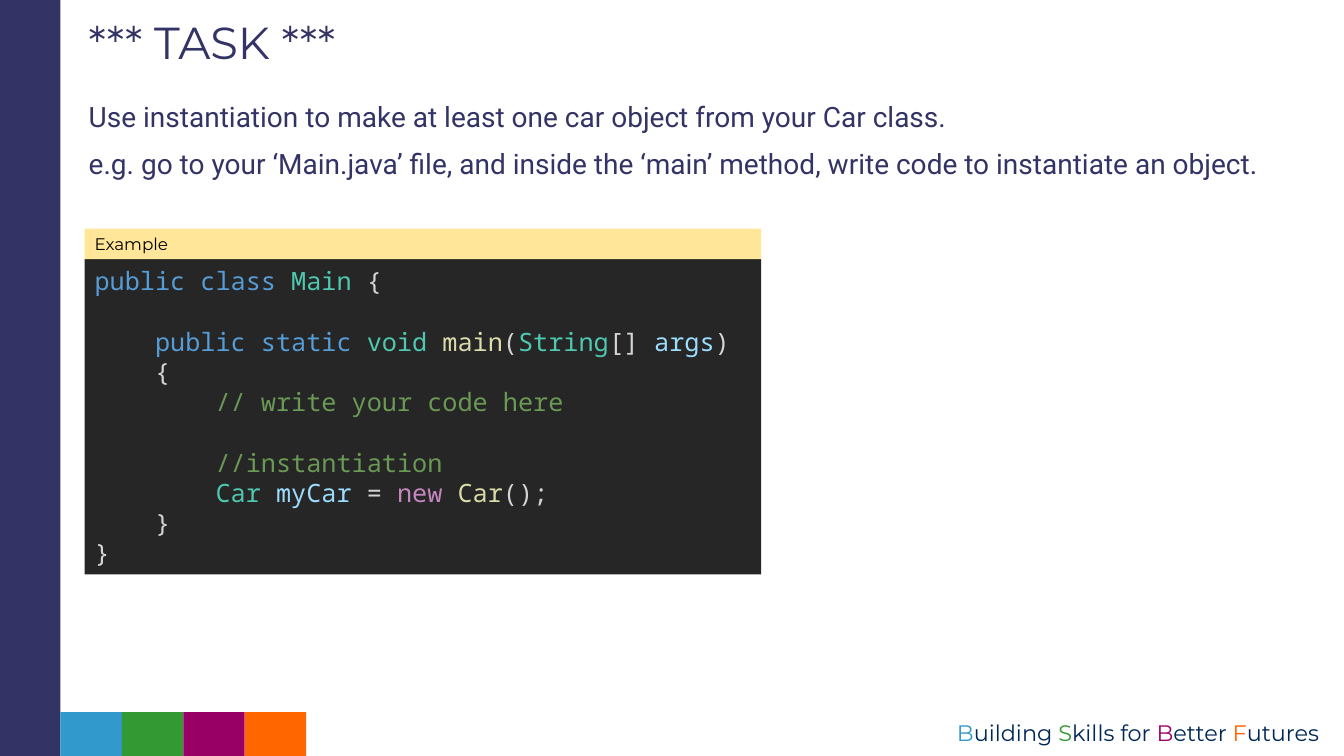
from lxml.etree import SubElement
from pptx import Presentation
from pptx.dml.color import RGBColor
from pptx.enum.shapes import MSO_SHAPE as Preset
from pptx.enum.text import MSO_ANCHOR as Anchor, MSO_AUTO_SIZE as AutoSize, PP_ALIGN as Align
from pptx.oxml.ns import qn
from pptx.util import Inches, Pt

NAVY, INK = "333366", "002856"
BRAND = ["3299CC", "339933", "990066", "FF6600"]
KEYWORD, TYPE, PLAIN, METHOD = "569CD6", "4EC9B0", "D4D4D4", "DCDCAA"
VARIABLE, REMARK, OPERATOR = "9CDCFE", "6A9955", "C586C0"
CODE_PITCH = 21.6
CODE_INDENT = 0.6


def color(value):
    return RGBColor.from_string(value)


class TaskSlide:
    heading_font = "Montserrat"
    body_font = "Roboto"
    code_font = "Noto Sans Mono"

    def __init__(self, presentation):
        self.width = presentation.slide_width
        self.height = presentation.slide_height
        self.slide = presentation.slides.add_slide(presentation.slide_layouts[1])

    def area(self, left, top, width, height):
        return (round(self.width * left / 100), round(self.height * top / 100),
                round(self.width * width / 100), round(self.height * height / 100))

    def place(self, shape, *shares):
        shape.left, shape.top, shape.width, shape.height = self.area(*shares)

    def style(self, run, font, size, value):
        run.font.name = font
        run.font.size = Pt(size)
        run.font.color.rgb = color(value)

    def frame(self, shape, anchor):
        text_frame = shape.text_frame
        text_frame.word_wrap = True
        text_frame.auto_size = AutoSize.NONE
        text_frame.vertical_anchor = anchor
        return text_frame

    def add_pieces(self, paragraph, pieces, font, size):
        for text, value in pieces:
            run = paragraph.add_run()
            run.text = text
            self.style(run, font, size, value)

    def title(self, text, *shares):
        shape = self.slide.shapes.title
        self.place(shape, *shares)
        text_frame = self.frame(shape, Anchor.MIDDLE)
        text_frame.text = text
        paragraph = text_frame.paragraphs[0]
        paragraph.alignment = Align.LEFT
        paragraph.line_spacing = 0.9
        self.style(paragraph.runs[0], self.heading_font, 32, NAVY)

    def body(self, lines, *shares):
        shape = self.slide.placeholders[1]
        self.place(shape, *shares)
        text_frame = self.frame(shape, Anchor.TOP)
        text_frame.text = "\n".join(lines)
        for paragraph in text_frame.paragraphs:
            paragraph.line_spacing = 1.14
            paragraph.space_before = Pt(0)
            paragraph.space_after = Pt(6)
            properties = paragraph._p.get_or_add_pPr()
            properties.set("marL", "0")
            properties.set("indent", "0")
            SubElement(properties, qn("a:buNone"))
            self.style(paragraph.runs[0], self.body_font, 20, NAVY)

    def block(self, fill, *shares):
        shape = self.slide.shapes.add_shape(Preset.RECTANGLE, *self.area(*shares))
        shape.shadow.inherit = False
        shape.fill.solid()
        shape.fill.fore_color.rgb = color(fill)
        shape.line.fill.background()
        return shape

    def label(self, text, fill, *shares):
        text_frame = self.frame(self.block(fill, *shares), Anchor.MIDDLE)
        text_frame.text = text
        paragraph = text_frame.paragraphs[0]
        paragraph.alignment = Align.LEFT
        self.style(paragraph.runs[0], self.heading_font, 12, "000000")

    def listing(self, lines, fill, *shares):
        text_frame = self.frame(self.block(fill, *shares), Anchor.MIDDLE)
        for index, (level, lines_above, pieces) in enumerate(lines):
            paragraph = text_frame.add_paragraph() if index else text_frame.paragraphs[0]
            paragraph.alignment = Align.LEFT
            paragraph.line_spacing = Pt(CODE_PITCH)
            paragraph.space_before = Pt(CODE_PITCH * lines_above)
            paragraph._p.get_or_add_pPr().set("marL", str(Inches(CODE_INDENT * level)))
            self.add_pieces(paragraph, pieces, self.code_font, 18)

    def slogan(self, pieces, *shares):
        shape = self.slide.shapes.add_textbox(*self.area(*shares))
        paragraph = self.frame(shape, Anchor.TOP).paragraphs[0]
        paragraph.alignment = Align.RIGHT
        self.add_pieces(paragraph, pieces, self.heading_font, 16)


def main():
    presentation = Presentation()
    presentation.slide_width = Inches(13.33)
    presentation.slide_height = Inches(7.5)
    task = TaskSlide(presentation)

    side = 4.5
    swatch = 4.57
    task.block(NAVY, 0, 0, side, 100)
    for index, fill in enumerate(BRAND):
        task.block(fill, side + index * swatch, 94.2, swatch, 5.8)

    words = ["Building ", "Skills for ", "Better ", "Futures"]
    task.slogan([piece for word, value in zip(words, BRAND)
                 for piece in ((word[0], value), (word[1:], INK))],
                62.72, 94.53, 36.16, 4.93)

    task.title("*** TASK ***", 5.85, 1.73, 77.64, 8.4)
    task.body([
        "Use instantiation to make at least one car object from your Car class.",
        "e.g. go to your ‘Main.java’ file, and inside the ‘main’ method, "
        "write code to instantiate an object.",
    ], 5.85, 11.87, 92.95, 79.33)

    code_left, code_width = 6.3, 50.34
    task.listing([
        (0, 0, [("public class ", KEYWORD), ("Main", TYPE), (" {", PLAIN)]),
        (1, 1, [("public static ", KEYWORD), ("void ", TYPE), ("main", METHOD),
                ("(", PLAIN), ("String", TYPE), ("[] ", PLAIN),
                ("args", VARIABLE), (")", PLAIN)]),
        (1, 0, [("{", PLAIN)]),
        (2, 0, [("// write your code here", REMARK)]),
        (2, 1, [("//instantiation", REMARK)]),
        (2, 0, [("Car ", TYPE), ("myCar", VARIABLE), (" = ", PLAIN),
                ("new ", OPERATOR), ("Car", METHOD), ("();", PLAIN)]),
        (1, 0, [("}", PLAIN)]),
        (0, 0, [("}", PLAIN)]),
    ], "262626", code_left, 34.27, code_width, 41.73)
    task.label("Example", "FFE699", code_left, 30.23, code_width, 4.04)

    presentation.save("out.pptx")


if __name__ == "__main__":
    main()
